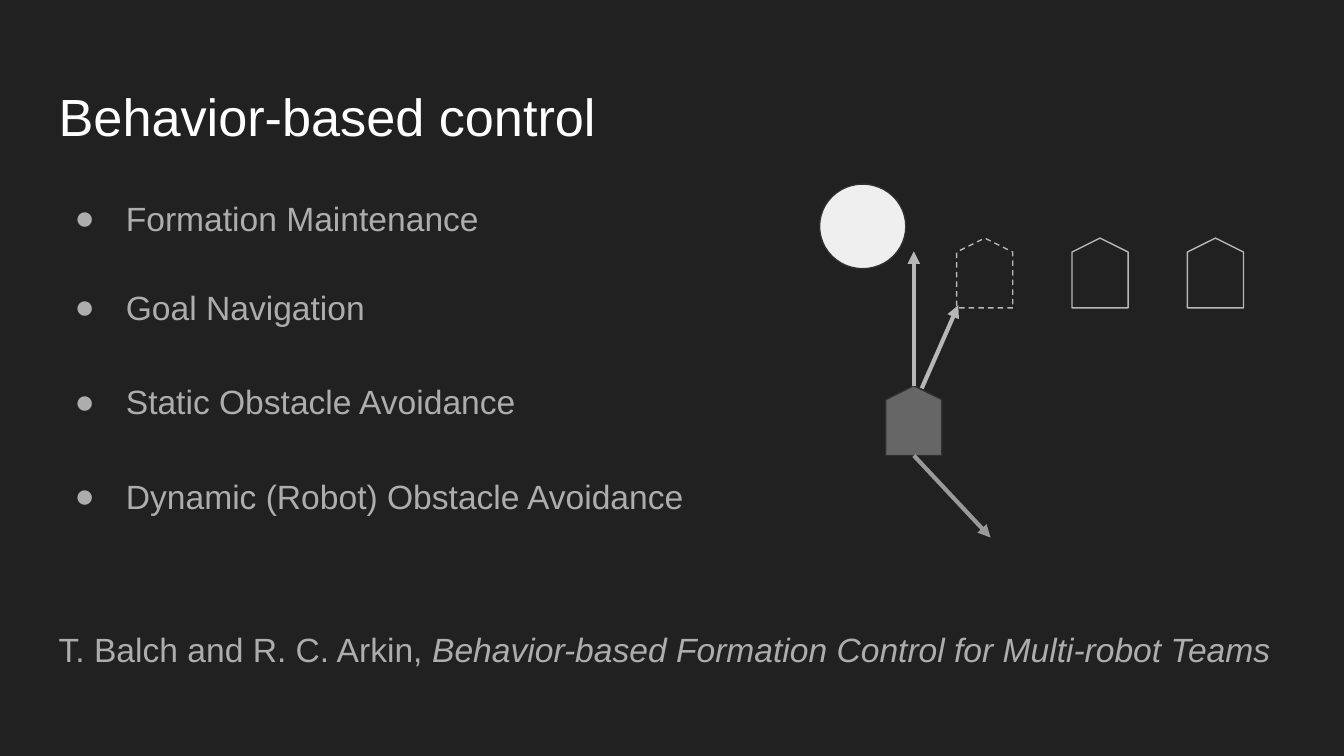
from dataclasses import dataclass
from typing import Optional

from lxml import etree
from pptx import Presentation
from pptx import util as u
from pptx.dml.color import RGBColor
from pptx.enum import dml, shapes, text
from pptx.oxml import ns

BACKGROUND = RGBColor(0x21, 0x21, 0x21)
WHITE = RGBColor(0xFF, 0xFF, 0xFF)
BODY_GREY = RGBColor(0xAD, 0xAD, 0xAD)
ROBOT_GREY = RGBColor(0x66, 0x66, 0x66)
EDGE_GREY = RGBColor(0x30, 0x30, 0x30)
LIGHT_GREY = RGBColor(0xB7, 0xB7, 0xB7)
MID_GREY = RGBColor(0x99, 0x99, 0x99)
OBSTACLE_GREY = RGBColor(0xEF, 0xEF, 0xEF)

ROBOT = shapes.MSO_SHAPE.FLOWCHART_OFFPAGE_CONNECTOR
ROBOT_WIDTH, ROBOT_HEIGHT = 1.06, 1.32
FORMATION_LEFT, FORMATION_TOP, FORMATION_STEP = 18.08, 4.5, 2.18


@dataclass
class Figure:
    kind: shapes.MSO_SHAPE
    left: float
    top: float
    width: float = ROBOT_WIDTH
    height: float = ROBOT_HEIGHT
    rotation: int = 180
    fill: Optional[RGBColor] = None
    line: RGBColor = LIGHT_GREY
    dash: Optional[dml.MSO_LINE] = None


@dataclass
class Arrow:
    start: tuple[float, float]
    end: tuple[float, float]
    color: RGBColor = LIGHT_GREY


@dataclass
class Entry:
    words: str
    before: float = 0
    bullet: bool = True
    italic_words: str = ""


FIGURES = [
    Figure(ROBOT, 16.74, 7.29, fill=ROBOT_GREY, line=EDGE_GREY),
    *(Figure(ROBOT, FORMATION_LEFT + place * FORMATION_STEP, FORMATION_TOP,
             dash=None if place else dml.MSO_LINE.DASH) for place in range(3)),
    Figure(shapes.MSO_SHAPE.OVAL, 15.49, 3.48, 1.63, 1.6, 0, OBSTACLE_GREY, EDGE_GREY),
]
ARROWS = [
    Arrow((17.42, 7.34), (18.11, 5.77)),
    Arrow((17.27, 7.29), (17.27, 4.75)),
    Arrow((17.27, 8.61), (18.72, 10.16), MID_GREY),
]
TITLE = [Entry("Behavior-based control", bullet=False)]
BODY = [
    Entry("Formation Maintenance"),
    Entry("Goal Navigation", 22.8),
    Entry("Static Obstacle Avoidance", 25.7),
    Entry("Dynamic (Robot) Obstacle Avoidance", 25.7),
    Entry("T. Balch and R. C. Arkin,", 57.6, False,
          " Behavior-based Formation Control for Multi-robot Teams"),
]


def apply(target, values: dict) -> None:
    for name, value in values.items():
        setattr(target, name, value)


def add_bullet(paragraph, color: RGBColor) -> None:
    properties = paragraph._p.get_or_add_pPr()
    properties.set("marL", str(u.Cm(1.27)))
    properties.set("indent", str(u.Cm(-0.97)))
    bullet_color = etree.SubElement(properties, ns.qn("a:buClr"))
    etree.SubElement(bullet_color, ns.qn("a:srgbClr"), val=str(color))
    etree.SubElement(properties, ns.qn("a:buFont"), typeface="Arial")
    etree.SubElement(properties, ns.qn("a:buChar"), char="●")


def add_text(slide, top: float, height: float, inset_top: float, size: int,
             color: RGBColor, spacing: float, entries: list[Entry]) -> None:
    box = slide.shapes.add_textbox(u.Cm(0.86), u.Cm(top), u.Cm(23.67), u.Cm(height))
    frame = box.text_frame
    apply(frame, {
        "word_wrap": True, "vertical_anchor": text.MSO_ANCHOR.TOP,
        "margin_left": u.Cm(0.25), "margin_right": u.Cm(0.25),
        "margin_top": u.Cm(inset_top), "margin_bottom": 0,
    })
    for index, entry in enumerate(entries):
        paragraph = frame.add_paragraph() if index else frame.paragraphs[0]
        if entry.bullet:
            add_bullet(paragraph, color)
        apply(paragraph, {"line_spacing": spacing, "space_before": u.Pt(entry.before)})
        for words, italic in ((entry.words, False), (entry.italic_words, True)):
            if words:
                run = paragraph.add_run()
                run.text = words
                apply(run.font, {"name": "Arial", "size": u.Pt(size), "italic": italic})
                run.font.color.rgb = color


def add_figure(slide, figure: Figure) -> None:
    shape = slide.shapes.add_shape(figure.kind, u.Cm(figure.left), u.Cm(figure.top),
                                   u.Cm(figure.width), u.Cm(figure.height))
    shape.rotation = figure.rotation
    shape.shadow.inherit = False
    if figure.fill is None:
        shape.fill.background()
    else:
        shape.fill.solid()
        shape.fill.fore_color.rgb = figure.fill
    shape.line.color.rgb = figure.line
    apply(shape.line, {"width": u.Pt(0.75), "dash_style": figure.dash})


def add_arrow(slide, arrow: Arrow) -> None:
    points = [u.Cm(value) for value in (*arrow.start, *arrow.end)]
    connector = slide.shapes.add_connector(shapes.MSO_CONNECTOR.STRAIGHT, *points)
    connector.line.color.rgb = arrow.color
    connector.line.width = u.Pt(2.25)
    etree.SubElement(connector.line._get_or_add_ln(), ns.qn("a:tailEnd"), type="triangle")
    etree.SubElement(connector._element.spPr, ns.qn("a:effectLst"))


def main() -> None:
    presentation = Presentation()
    apply(presentation, {"slide_width": u.Cm(25.4), "slide_height": u.Cm(14.29)})
    slide = presentation.slides.add_slide(presentation.slide_layouts[6])
    slide.background.fill.solid()
    slide.background.fill.fore_color.rgb = BACKGROUND
    add_text(slide, 1.24, 1.6, 0.35, 28, WHITE, 1.0, TITLE)
    add_text(slide, 3.2, 9.5, 0.43, 18, BODY_GREY, 1.15, BODY)
    for figure in FIGURES:
        add_figure(slide, figure)
    for arrow in ARROWS:
        add_arrow(slide, arrow)
    presentation.save("out.pptx")


if __name__ == "__main__":
    main()
